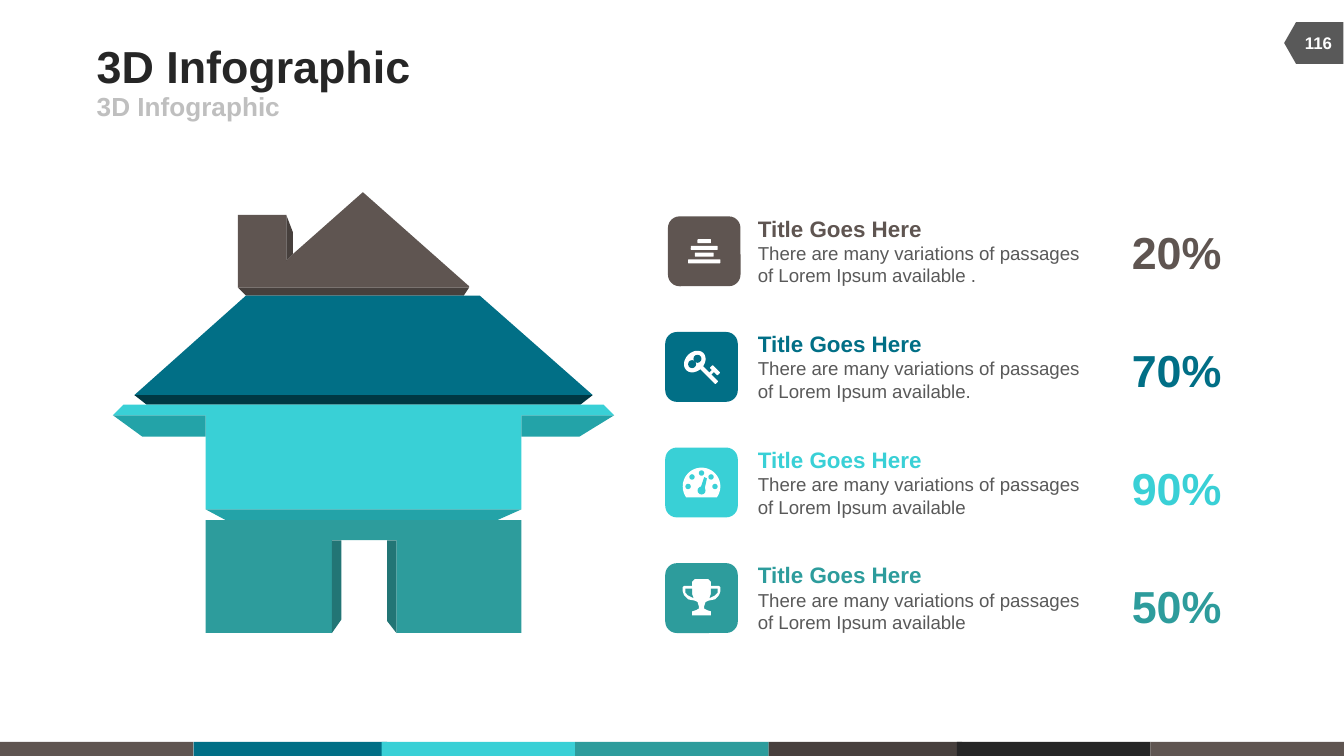
from math import cos, sin, radians
from pptx import Presentation
from pptx.util import Inches, Pt
from pptx.dml.color import RGBColor
from pptx.enum.shapes import MSO_SHAPE as SHAPE
from pptx.enum.text import MSO_ANCHOR as ANCHOR, PP_ALIGN as ALIGN

BROWN = RGBColor(0x5F, 0x55, 0x51)
BROWN_DARK = RGBColor(0x47, 0x40, 0x3D)
BLUE = RGBColor(0x01, 0x6F, 0x86)
BLUE_DARK = RGBColor(0x00, 0x38, 0x43)
CYAN = RGBColor(0x39, 0xD0, 0xD6)
CYAN_DARK = RGBColor(0x23, 0xA3, 0xA8)
TEAL = RGBColor(0x2D, 0x9C, 0x9C)
TEAL_DARK = RGBColor(0x22, 0x75, 0x75)
BLACK = RGBColor(0x26, 0x26, 0x26)
GRAY = RGBColor(0x59, 0x59, 0x59)
SILVER = RGBColor(0xBF, 0xBF, 0xBF)
WHITE = RGBColor(0xFF, 0xFF, 0xFF)

# Content
HEADING = "3D Infographic"
PAGE = "116"
ROW_TITLE = "Title Goes Here"
PASSAGE = "There are many variations of passages of Lorem Ipsum available"
ROWS = [  # colour, passage, percentage, tile left
    (BROWN, PASSAGE + " .", "20%", 4.97),
    (BLUE, PASSAGE + ".", "70%", 4.95),
    (CYAN, PASSAGE, "90%", 4.95),
    (TEAL, PASSAGE, "50%", 4.95),
]
FOOTER = [(0, BROWN), (1.44, BLUE), (2.84, CYAN), (4.28, TEAL),
          (5.72, BROWN_DARK), (7.12, BLACK), (8.56, BROWN)]
HOUSE = [
    # Roof top and chimney
    (BROWN, [(3.49, 2.14), (1.77, 2.14), (1.77, 1.6), (2.13, 1.6),
             (2.13, 1.94), (2.18, 1.89), (2.7, 1.43), (3.49, 2.13)]),
    (BROWN_DARK, [(2.18, 1.89), (2.13, 1.94), (2.13, 1.6), (2.18, 1.73)]),
    (BROWN_DARK, [(3.45, 2.2), (1.83, 2.2), (1.77, 2.14), (3.49, 2.14)]),
    # Lower roof
    (BLUE, [(4.41, 2.94), (1, 2.94), (1.83, 2.2), (3.57, 2.2)]),
    (BLUE_DARK, [(4.32, 3.01), (1.09, 3.01), (1, 2.94), (4.41, 2.94)]),
    # Upper floor and eaves
    (CYAN, [(0.92, 3.01), (4.49, 3.01), (4.57, 3.09), (3.88, 3.09),
            (3.88, 3.79), (1.53, 3.79), (1.53, 3.09), (0.84, 3.09)]),
    (CYAN_DARK, [(1.53, 3.25), (1.06, 3.25), (0.84, 3.09), (1.53, 3.09)]),
    (CYAN_DARK, [(3.88, 3.25), (3.88, 3.09), (4.57, 3.09), (4.31, 3.25)]),
    (CYAN_DARK, [(3.7, 3.87), (1.68, 3.87), (1.53, 3.79), (3.88, 3.79)]),
    # Ground floor and door
    (TEAL, [(2.47, 4.71), (1.53, 4.71), (1.53, 3.87), (3.88, 3.87),
            (3.88, 4.71), (2.95, 4.71), (2.95, 4.02), (2.47, 4.02)]),
    (TEAL_DARK, [(2.95, 4.71), (2.88, 4.62), (2.88, 4.02), (2.95, 4.02)]),
    (TEAL_DARK, [(2.47, 4.71), (2.47, 4.02), (2.54, 4.02), (2.54, 4.61)]),
]

prs = Presentation()
prs.slide_width = Inches(10)
prs.slide_height = Inches(10) * 9 // 16
slide = prs.slides.add_slide(prs.slide_layouts[6])
shapes = slide.shapes


def paint(shape, color):
    shape.shadow.inherit = False
    shape.fill.solid()
    shape.fill.fore_color.rgb = color
    shape.line.fill.background()


def block(kind, left, top, width, height, color, rotation=0):
    shape = shapes.add_shape(kind, Inches(left), Inches(top), Inches(width), Inches(height))
    shape.rotation = rotation
    paint(shape, color)


def polygon(points, color):
    corners = [(Inches(x), Inches(y)) for x, y in points]
    builder = shapes.build_freeform(*corners[0])
    builder.add_line_segments(corners[1:], close=True)
    paint(builder.convert_to_shape(), color)


def dot(x, y, diameter, color):
    block(SHAPE.OVAL, x - diameter / 2, y - diameter / 2, diameter, diameter, color)


def text(left, top, width, height, lines, anchor=ANCHOR.TOP, align=ALIGN.LEFT,
         wrap=True, inset=True):
    box = shapes.add_textbox(Inches(left), Inches(top), Inches(width), Inches(height))
    frame = box.text_frame
    frame.word_wrap, frame.vertical_anchor = wrap, anchor
    if not inset:
        frame.margin_left = frame.margin_right = frame.margin_top = frame.margin_bottom = 0
    for i, (words, size, color, bold) in enumerate(lines):
        paragraph = frame.add_paragraph() if i else frame.paragraphs[0]
        paragraph.alignment = align
        run = paragraph.add_run()
        run.text = words
        run.font.name, run.font.size, run.font.bold = "Arial", Pt(size), bold
        run.font.color.rgb = color


def bars_icon(color):
    for left, top, width in [(5.19, 1.78, 0.1), (5.14, 1.83, 0.2),
                             (5.17, 1.88, 0.14), (5.12, 1.93, 0.24)]:
        block(SHAPE.ROUNDED_RECTANGLE, left, top, width, 0.03, WHITE)


def key_icon(color):
    block(SHAPE.OVAL, 5.08, 2.62, 0.18, 0.14, WHITE, -45)
    for x, y in [(5.19, 2.67), (5.15, 2.71)]:
        dot(x, y, 0.06, color)
    # Shaft, then the two parts of the bit
    for left, top, width, height, turn in [(5.18, 2.77, 0.18, 0.03, 45),
                                           (5.27, 2.76, 0.05, 0.02, -45),
                                           (5.28, 2.74, 0.08, 0.03, 45)]:
        block(SHAPE.ROUNDED_RECTANGLE, left, top, width, height, WHITE, turn)


def gauge_icon(color):
    x, y = 5.22, 3.62

    def around(radius, angle):
        return x + radius * cos(radians(angle)), y + radius * sin(radians(angle))

    polygon([around(0.14, angle) for angle in range(145, 400, 5)], WHITE)
    for angle in range(180, 361, 45):
        dot(*around(0.1, angle), 0.04, color)
    dot(x, 3.65, 0.06, color)
    polygon([(5.21, 3.64), (5.24, 3.55), (5.26, 3.56), (5.24, 3.65)], color)


def trophy_icon(color):
    middle = 5.22

    def mirror(points):
        return [(2 * middle - x, y) for x, y in points]

    half = [(5.17, 4.31), (5.15, 4.33), (5.15, 4.36), (5.09, 4.36), (5.08, 4.37),
            (5.08, 4.4), (5.09, 4.43), (5.12, 4.46), (5.17, 4.47), (5.19, 4.48),
            (5.2, 4.51), (5.2, 4.53), (5.18, 4.54), (5.15, 4.55), (5.15, 4.58)]
    handle = [(5.1, 4.38), (5.15, 4.38), (5.15, 4.42), (5.16, 4.45),
              (5.12, 4.43), (5.1, 4.41)]
    polygon(half + mirror(half)[::-1], WHITE)
    polygon(handle, color)
    polygon(mirror(handle), color)


# Footer strip and page tag
for left, color in FOOTER:
    block(SHAPE.RECTANGLE, left, 5.52, 1.44, prs.slide_height.inches - 5.52
          if hasattr(prs.slide_height, "inches") else 0.1, color)
block(SHAPE.FLOWCHART_OFFPAGE_CONNECTOR, 9.62, 0.1, 0.31, 0.44, GRAY, 90)
text(9.6, 0.17, 0.42, 0.3, [(PAGE, 9, WHITE, True)], ANCHOR.MIDDLE, ALIGN.CENTER)

# Headings
text(0.72, 0.29, 6.17, 0.39, [(HEADING, 24, BLACK, True)], ANCHOR.MIDDLE,
     wrap=False, inset=False)
text(0.72, 0.68, 4.5, 0.22, [(HEADING, 14, SILVER, True)], ANCHOR.MIDDLE,
     wrap=False, inset=False)

# House
for color, outline in HOUSE:
    polygon(outline, color)

# Rows: tile, icon, text, percentage
ICONS = [bars_icon, key_icon, gauge_icon, trophy_icon]
for i, ((color, passage, percent, tile_left), icon) in enumerate(zip(ROWS, ICONS)):
    block(SHAPE.ROUNDED_RECTANGLE, tile_left, 1.61 + 0.86 * i, 0.54, 0.52, color)
    icon(color)
    text(5.54, 1.55 + 0.86 * i, 2.71, 0.64,
         [(ROW_TITLE, 12, color, True), (passage, 10, GRAY, False)])
    text(8.42, 1.67 + 0.88 * i, 0.67, 0.4, [(percent, 24, color, True)],
         ANCHOR.BOTTOM, ALIGN.CENTER, wrap=False, inset=False)

prs.save("out.pptx")
